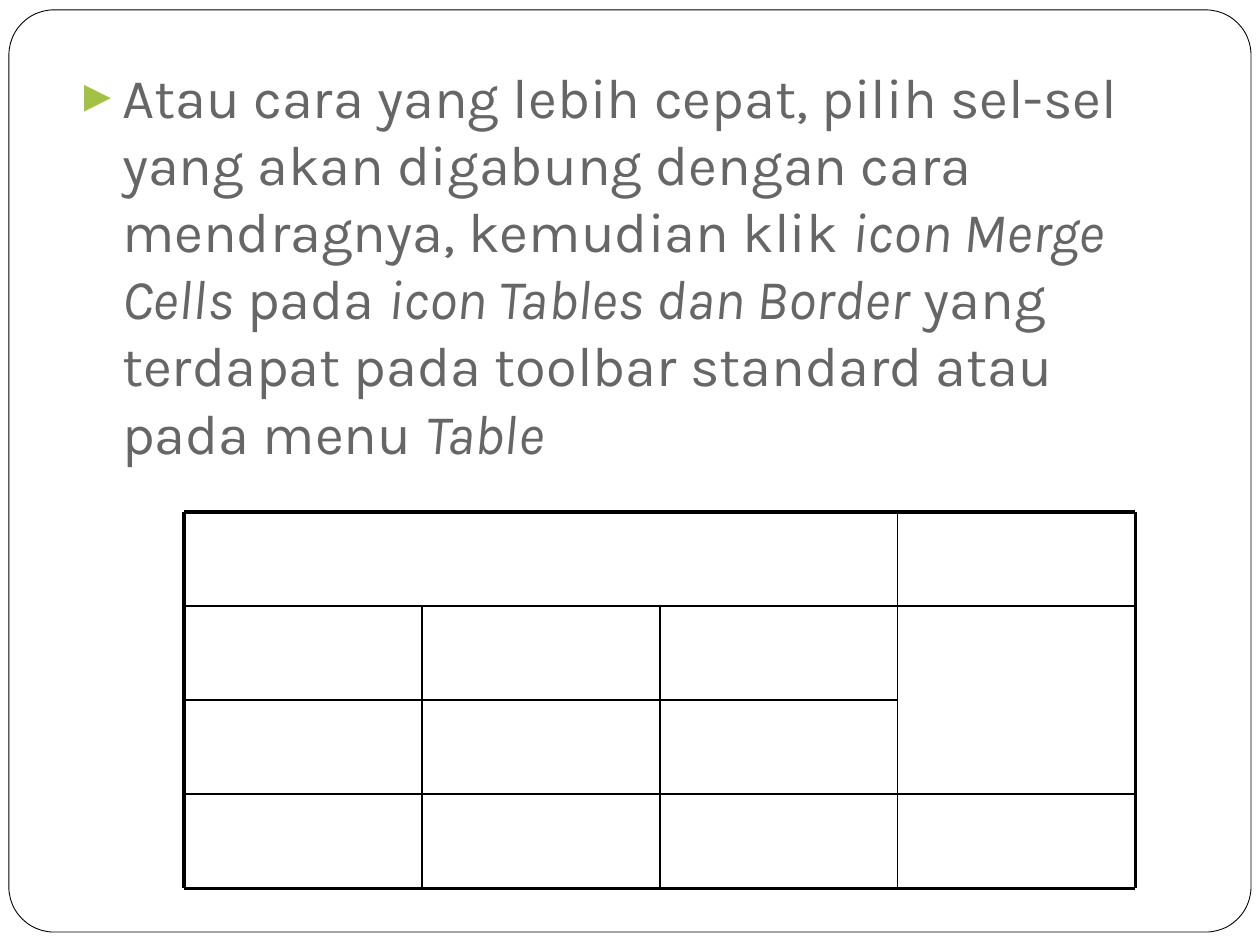
from collections import namedtuple
from dataclasses import dataclass

from lxml.etree import SubElement
from pptx import Presentation
from pptx.dml.color import RGBColor
from pptx.enum.shapes import MSO_CONNECTOR as Connector, MSO_SHAPE as Shape
from pptx.enum.text import MSO_ANCHOR as Anchor, MSO_AUTO_SIZE as AutoSize, PP_ALIGN as Align
from pptx.oxml.ns import qn
from pptx.util import Cm, Pt

Box = namedtuple("Box", "left top width height")


@dataclass(frozen=True)
class Theme:
    font: str = "Karla"
    paper: str = "FFFFFF"
    ink: str = "000000"
    text: str = "666666"
    bullet: str = "A3C145"
    body_size: float = 32
    frame_line: float = 0.5
    outer_line: float = 2
    inner_line: float = 1


THEME = Theme()

# Each pair is a piece of text and whether it is italic
SENTENCE = [
    ("Atau cara yang lebih cepat, pilih sel-sel yang akan digabung "
     "dengan cara mendragnya, kemudian klik ", False),
    ("icon Merge Cells", True),
    (" pada ", False),
    ("icon Tables dan Border", True),
    (" yang terdapat pada toolbar standard atau pada menu ", False),
    ("Table", True),
]

# Grid lines as (column, row) ends, counted in cells
GRID_SIZE = 4
OUTER_LINES = [((0, 0), (4, 0)), ((0, 4), (4, 4)), ((0, 0), (0, 4)), ((4, 0), (4, 4))]
INNER_LINES = [
    ((0, 1), (4, 1)), ((3, 0), (3, 4)), ((0, 2), (3, 2)),
    ((1, 1), (1, 4)), ((2, 1), (2, 4)), ((0, 3), (4, 3)),
]


def color(value):
    return RGBColor.from_string(value)


def set_all(target, values):
    for name, value in values.items():
        setattr(target, name, value)


def draw_frame(page, box):
    """Rounded page border, behind everything else."""
    frame = page.shapes.add_shape(Shape.ROUNDED_RECTANGLE, *box)
    frame.adjustments[0] = 0.049
    frame.shadow.inherit = False
    frame.fill.solid()
    frame.fill.fore_color.rgb = color(THEME.paper)
    frame.line.color.rgb = color(THEME.ink)
    frame.line.width = Pt(THEME.frame_line)
    page.shapes._spTree.insert(2, frame._element)


def add_bullet(para, indent):
    props = para._p.get_or_add_pPr()
    props.set("marL", str(indent))
    props.set("indent", str(-indent))
    tint = SubElement(props, qn("a:buClr"))
    SubElement(tint, qn("a:srgbClr"), val=THEME.bullet)
    SubElement(props, qn("a:buSzPct"), val="80000")
    SubElement(props, qn("a:buChar"), char="►")


def write_body(page, box):
    """Bulleted sentence in the body placeholder."""
    body = page.placeholders[1]
    set_all(body, box._asdict())
    frame = body.text_frame
    set_all(frame, {
        "word_wrap": True, "auto_size": AutoSize.SHAPE_TO_FIT_TEXT,
        "vertical_anchor": Anchor.TOP,
        "margin_left": Cm(0.25), "margin_right": Cm(0.25),
        "margin_top": Cm(0.13), "margin_bottom": Cm(0.13),
    })
    para = frame.paragraphs[0]
    set_all(para, {"alignment": Align.LEFT, "space_before": Pt(8)})
    add_bullet(para, Cm(0.94))
    for words, italic in SENTENCE:
        span = para.add_run()
        span.text = words
        set_all(span.font, {"name": THEME.font, "size": Pt(THEME.body_size), "italic": italic})
        span.font.color.rgb = color(THEME.text)


def draw_grid(page, box):
    """Grid with merged cells, drawn as grouped lines."""
    group = page.shapes.add_group_shape()

    def point(column, row):
        return (box.left + box.width * column // GRID_SIZE,
                box.top + box.height * row // GRID_SIZE)

    for lines, weight in ((OUTER_LINES, THEME.outer_line), (INNER_LINES, THEME.inner_line)):
        for start, end in lines:
            rule = group.shapes.add_connector(Connector.STRAIGHT, *point(*start), *point(*end))
            rule.line.color.rgb = color(THEME.ink)
            rule.line.width = Pt(weight)
            SubElement(rule._element.spPr, qn("a:effectLst"))


def main():
    deck = Presentation()
    set_all(deck, {"slide_width": Cm(25.4), "slide_height": Cm(19.05)})
    page = deck.slides.add_slide(deck.slide_layouts[1])
    title = page.shapes.title._element
    title.getparent().remove(title)

    draw_frame(page, Box(Cm(0.18), Cm(0.2), Cm(25.04), Cm(18.59)))
    write_body(page, Box(Cm(1.27), Cm(1.12), Cm(22.86), Cm(10.03)))
    draw_grid(page, Box(Cm(3.71), Cm(10.32), Cm(19.18), Cm(7.59)))
    deck.save("out.pptx")


if __name__ == "__main__":
    main()
